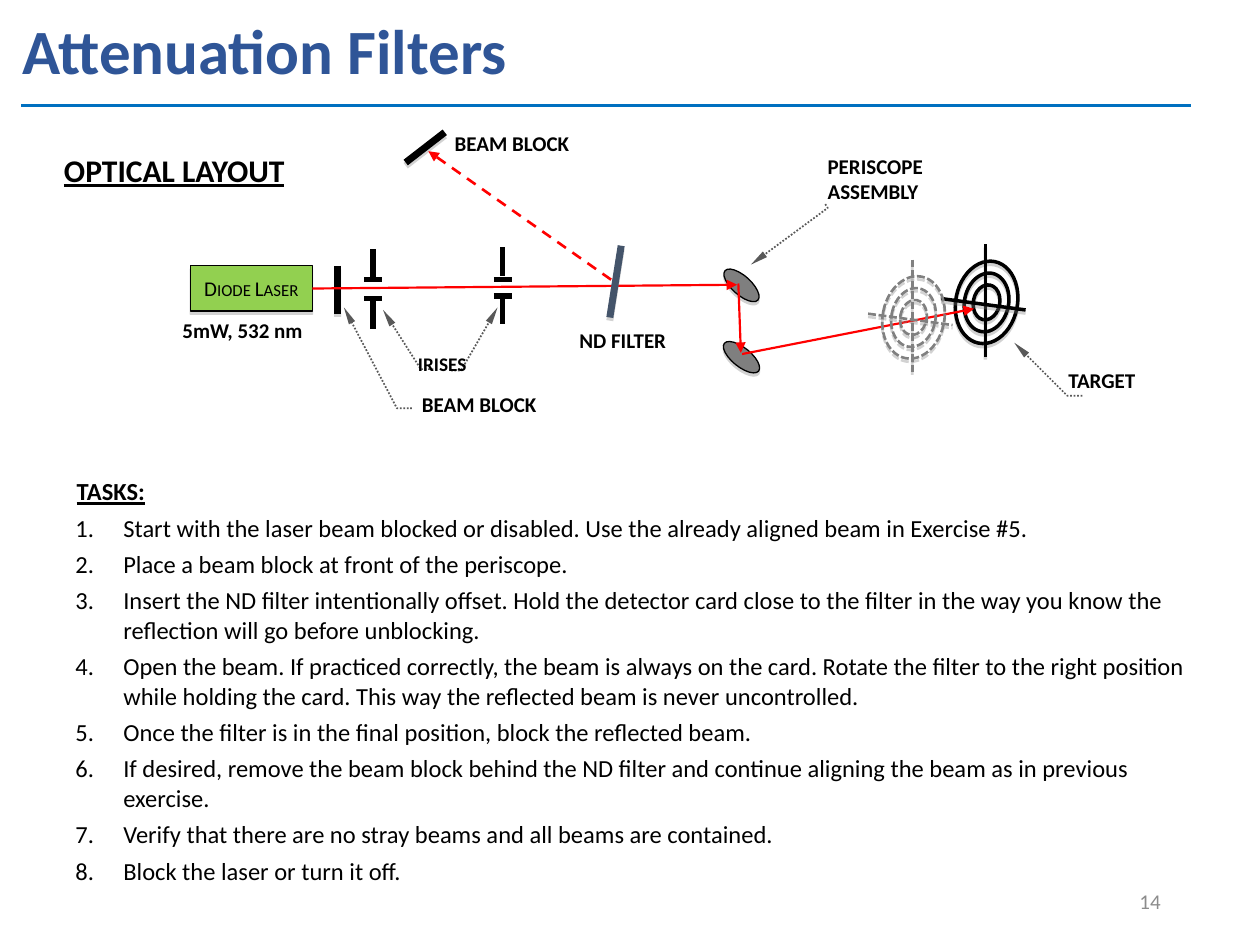
from dataclasses import dataclass
from typing import Optional

from lxml import etree
from pptx import Presentation
from pptx import util as u
from pptx.dml.color import RGBColor
from pptx.enum import dml, shapes, text
from pptx.oxml import ns

COLS, ROWS = 100, 75
Point = tuple[float, float]


@dataclass(frozen=True)
class Theme:
    font: str = "Calibri"
    title: str = "2F5597"
    rule: str = "0070C0"
    ink: str = "000000"
    page: str = "8C8C8C"
    laser: str = "92D050"
    mirror: str = "7F7F7F"
    ghost: str = "808080"
    leader: str = "595959"
    beam: str = "FF0000"
    filter: str = "44546A"
    title_pt: int = 36
    heading_pt: int = 18
    body_pt: int = 14
    label_pt: int = 12
    small_pt: int = 11


@dataclass(frozen=True)
class Pen:
    color: str
    width: float
    dash: Optional[dml.MSO_LINE] = None
    shadow: bool = False
    head: Optional[tuple[str, str]] = None


@dataclass(frozen=True)
class Label:
    text: str
    box: tuple[float, float, float, float]
    size: int
    color: str = "000000"
    bold: bool = True
    underline: bool = False
    align: text.PP_ALIGN = text.PP_ALIGN.LEFT
    anchor: text.MSO_ANCHOR = text.MSO_ANCHOR.TOP
    wrap: bool = True
    spacing: float = 1.0


@dataclass(frozen=True)
class Iris:
    x: float
    caps: Point
    stems: tuple[Point, Point]


T = Theme()
DOT, SQUARE, DASH = dml.MSO_LINE.ROUND_DOT, dml.MSO_LINE.SQUARE_DOT, dml.MSO_LINE.DASH
RULE = Pen(T.rule, 1.5)
OUTLINE = Pen(T.ink, 0.75, shadow=True)
IRIS = Pen(T.ink, 3)
BLOCK = Pen(T.ink, 4, shadow=True)
FILTER = Pen(T.filter, 4, shadow=True)
TARGET = Pen(T.ink, 2, shadow=True)
GHOST = Pen(T.ghost, 1.5, SQUARE, shadow=True)
BEAM = Pen(T.beam, 1.25, head=("med", "med"))
REFLECTION = Pen(T.beam, 1.5, DASH, head=("med", "med"))
LEADER = Pen(T.leader, 1, DOT, head=("sm", "lg"))

LABELS = [
    Label("Attenuation Filters", (0.8, 0.2, 96.6, 8.2), T.title_pt, T.title,
          anchor=text.MSO_ANCHOR.MIDDLE, spacing=0.9),
    Label("14", (70.6, 69.5, 22.5, 4), T.label_pt, T.page, bold=False,
          align=text.PP_ALIGN.RIGHT, anchor=text.MSO_ANCHOR.MIDDLE),
    Label("OPTICAL LAYOUT", (4.1, 11.5, 19.7, 4), T.heading_pt, underline=True, wrap=False),
    Label("BEAM BLOCK", (32.5, 30.6, 12.8, 3), T.label_pt),
    Label("BEAM BLOCK", (35.1, 9.9, 13.7, 3), T.label_pt),
    Label("IRISES", (31.2, 27.5, 7.8, 2.9), T.small_pt, align=text.PP_ALIGN.CENTER),
    Label("5mW, 532 nm", (13.5, 24.7, 13.6, 3), T.label_pt),
    Label("PERISCOPE ASSEMBLY", (64.7, 11.7, 13.7, 5), T.label_pt),
    Label("TARGET", (83.8, 28.7, 8.5, 2.7), T.label_pt),
    Label("ND FILTER", (45, 25.5, 9.3, 2.6), T.label_pt),
]
IRISES = [
    Iris(29.6, (22.2, 23.7), ((22.2, 19.8), (23.7, 26.1))),
    Iris(39.9, (22.2, 23.5), ((21.9, 19.6), (23.4, 25.7))),
]
LEADERS = [
    [(32.7, 32.4), (31.5, 32.4), (27.3, 24.4)],
    [(34.4, 29.3), (33.4, 29.3), (30.4, 24.6)],
    [(35.8, 29.4), (36.6, 29.4), (39.5, 24.4)],
    [(65.5, 16.2), (65.7, 16.5), (59.6, 21)],
    [(85.9, 31.4), (84.7, 31.4), (80.5, 27.2)],
]
TASKS = [
    "Start with the laser beam blocked or disabled. Use the already aligned beam in Exercise #5.",
    "Place a beam block at front of the periscope.",
    "Insert the ND filter intentionally offset. Hold the detector card close to the filter in the way "
    "you know the reflection will go before unblocking.",
    "Open the beam. If practiced correctly, the beam is always on the card. Rotate the filter to the "
    "right position while holding the card. This way the reflected beam is never uncontrolled.",
    "Once the filter is in the final position, block the reflected beam.",
    "If desired, remove the beam block behind the ND filter and continue aligning the beam as in "
    "previous exercise.",
    "Verify that there are no stray beams and all beams are contained.",
    "Block the laser or turn it off.",
]

prs = Presentation()
prs.slide_width, prs.slide_height = u.Inches(10), u.Inches(7.5)
s = prs.slides.add_slide(prs.slide_layouts[6])


def col(n: float) -> int:
    return round(prs.slide_width * n / COLS)


def row(n: float) -> int:
    return round(prs.slide_height * n / ROWS)


def child(parent, tag: str, **attrs: str):
    return etree.SubElement(parent, ns.qn(tag), attrs)


def draw_outline(sp, pen: Pen) -> None:
    sp.line.color.rgb = RGBColor.from_string(pen.color)
    sp.line.width = u.Pt(pen.width)
    if pen.dash:
        sp.line.dash_style = pen.dash
    if pen.head:
        child(sp.get_or_add_ln(), "a:tailEnd", type="triangle", w=pen.head[0], len=pen.head[1])
    effects = child(sp._element.spPr, "a:effectLst")
    if pen.shadow:
        shadow = child(effects, "a:outerShdw", dist="22860", dir="5400000", rotWithShape="0")
        child(child(shadow, "a:srgbClr", val="808080"), "a:alpha", val="35000")


def add_line(start: Point, end: Point, pen: Pen):
    sp = s.shapes.add_connector(shapes.MSO_CONNECTOR.STRAIGHT, col(start[0]), row(start[1]),
                                col(end[0]), row(end[1]))
    draw_outline(sp, pen)
    return sp


def add_shape(kind, center: Point, size: Point, pen: Pen, fill: str = "", turn: float = 0):
    (x, y), (w, h) = center, size
    sp = s.shapes.add_shape(kind, col(x - w / 2), row(y - h / 2), col(w), row(h))
    sp.rotation = turn
    if fill:
        sp.fill.solid()
        sp.fill.fore_color.rgb = RGBColor.from_string(fill)
    else:
        sp.fill.background()
    draw_outline(sp, pen)
    return sp


def add_leader(points: list[Point]) -> None:
    start, *rest = [(col(x), row(y)) for x, y in points]
    fb = s.shapes.build_freeform(*start)
    fb.add_line_segments(rest, close=False)
    sp = fb.convert_to_shape()
    sp.fill.background()
    draw_outline(sp, LEADER)


def write(p, words: str, size: int, color: str = T.ink, bold: bool = False, underline: bool = False):
    r = p.add_run()
    r.text = words
    style = {"name": T.font, "size": u.Pt(size), "bold": bold, "underline": underline}
    for key, value in style.items():
        setattr(r.font, key, value)
    r.font.color.rgb = RGBColor.from_string(color)
    return r


def add_label(label: Label) -> None:
    x, y, w, h = label.box
    tf = s.shapes.add_textbox(col(x), row(y), col(w), row(h)).text_frame
    tf.word_wrap, tf.vertical_anchor = label.wrap, label.anchor
    p = tf.paragraphs[0]
    p.alignment, p.line_spacing = label.align, label.spacing
    write(p, label.text, label.size, label.color, label.bold, label.underline)


def add_tasks() -> None:
    tf = s.shapes.add_textbox(col(1.9), row(37.3), col(93.2), row(33.8)).text_frame
    tf.word_wrap = True
    for i, words in enumerate(["TASKS:", *TASKS]):
        p = tf.add_paragraph() if i else tf.paragraphs[0]
        p.space_after = u.Pt(4)
        pPr = p._p.get_or_add_pPr()
        pPr.set("marL", str(col(6.9 if i else 3.2)))
        if i:
            pPr.set("indent", str(col(-3.8)))
            child(pPr, "a:buFont", typeface="+mj-lt")
            child(pPr, "a:buAutoNum", type="arabicPeriod")
        write(p, words, T.body_pt, bold=not i, underline=not i)


def add_iris(iris: Iris) -> None:
    for cap, (near, far) in zip(iris.caps, iris.stems):
        add_line((iris.x - 0.7, cap), (iris.x + 0.7, cap), IRIS)
        add_line((iris.x, near), (iris.x, far), IRIS)


def add_target(x: float, y: float, pen: Pen) -> None:
    for size in ((4.9, 6.6), (3.5, 4.7), (2.1, 2.8)):
        add_shape(shapes.MSO_SHAPE.OVAL, (x, y), size, pen, turn=11.1)
    add_line((x - 0.1, y - 4.6), (x - 0.1, y + 4.3), pen)
    add_line((x - 3.6, y - 0.3), (x + 3.1, y + 0.6), pen)


def main() -> None:
    add_line((1.7, 8.4), (94.5, 8.4), RULE)
    add_tasks()
    laser = add_shape(shapes.MSO_SHAPE.RECTANGLE, (19.95, 22.9), (9.7, 3.6), OUTLINE, T.laser)
    p = laser.text_frame.paragraphs[0]
    p.alignment = text.PP_ALIGN.CENTER
    write(p, "Diode Laser", T.label_pt)._r.get_or_add_rPr().set("cap", "small")
    for y, turn in ((22.65, 41.9), (28.35, 39)):
        add_shape(shapes.MSO_SHAPE.OVAL, (58.85, y), (3.5, 1.5), OUTLINE, T.mirror, turn)
    for iris in IRISES:
        add_iris(iris)
    for points in LEADERS:
        add_leader(points)
    for label in LABELS:
        add_label(label)
    add_line((26.8, 21.1), (26.8, 24.9), BLOCK)
    add_line((35.3, 10.5), (32.2, 12.9), BLOCK)
    add_target(78.3, 24, TARGET)
    add_line((58.6, 22.5), (58.8, 28), BEAM)
    add_line((24.8, 22.9), (58.5, 22.6), BEAM).begin_connect(laser, 3)
    add_line((58.9, 28.1), (77.3, 24.5), BEAM)
    add_target(72.5, 25.2, GHOST)
    add_line((48.5, 22.2), (34, 12), REFLECTION)
    add_line((49.3, 19.5), (48.4, 25.2), FILTER)
    prs.save("out.pptx")


if __name__ == "__main__":
    main()
